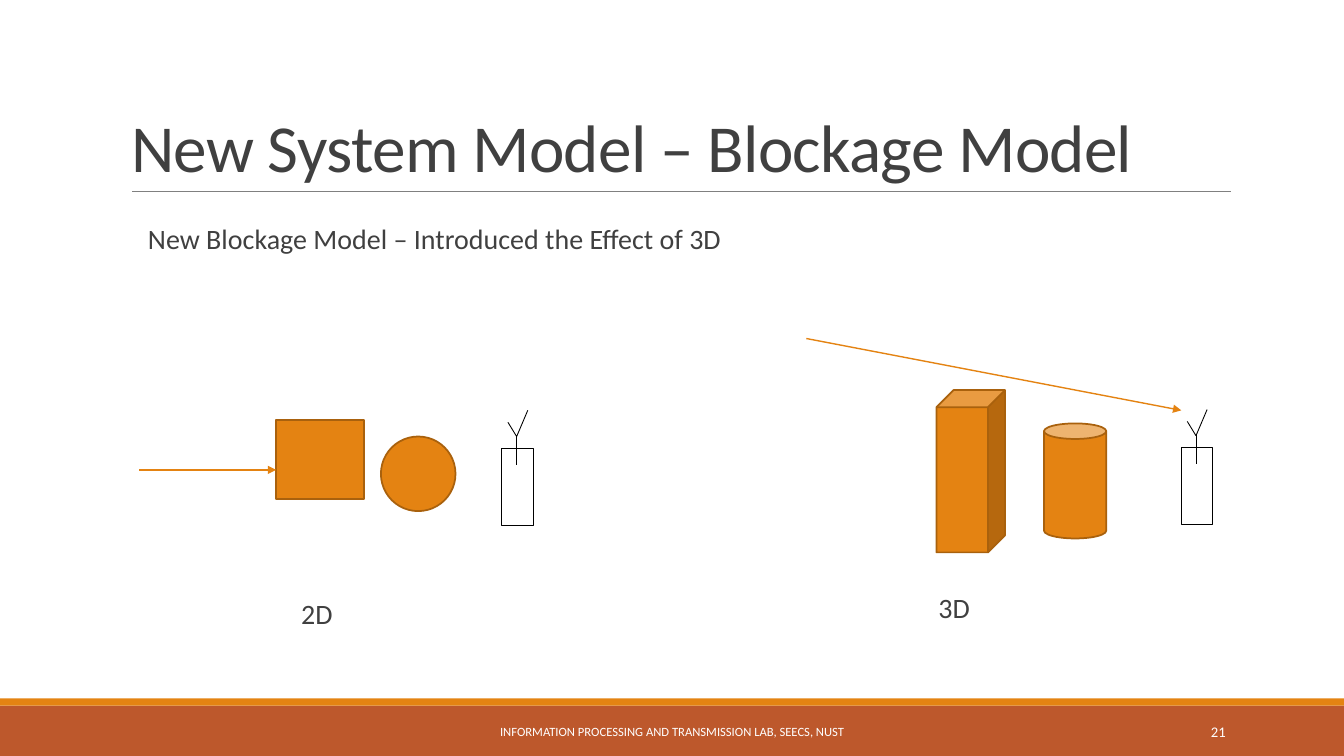
from dataclasses import dataclass

from lxml import etree
from pptx import Presentation
from pptx import util as u
from pptx.dml.color import RGBColor
from pptx.enum import shapes, text
from pptx.oxml import ns

KIND = shapes.MSO_SHAPE
ALIGN = text.PP_ALIGN
ANCHOR = text.MSO_ANCHOR


@dataclass(frozen=True)
class Theme:
    font: str = "Calibri"
    ink: str = "404040"
    white: str = "FFFFFF"
    black: str = "000000"
    rule: str = "808080"
    orange: str = "E48312"
    brown: str = "A9610D"
    rust: str = "BD582C"
    title: float = 48
    body: float = 20
    number: float = 10.5
    footer: float = 9


def rgb(code):
    return RGBColor.from_string(code)


class Deck:
    def __init__(self, theme):
        self.theme = theme
        self.prs = Presentation()
        self.prs.slide_width, self.prs.slide_height = u.Cm(33.87), u.Cm(19.05)
        self.slide = self.prs.slides.add_slide(self.prs.slide_layouts[5])

    def style(self, para, size, color, align=ALIGN.LEFT):
        para.alignment = align
        font = para.font
        font.name, font.size = self.theme.font, u.Pt(size)
        font.color.rgb = rgb(color)

    def title(self, words, left, top, width, height):
        box = self.slide.shapes.title
        box.left, box.top = u.Cm(left), u.Cm(top)
        box.width, box.height = u.Cm(width), u.Cm(height)
        frame = box.text_frame
        frame.text = words
        frame.auto_size = text.MSO_AUTO_SIZE.NONE
        frame.vertical_anchor = ANCHOR.BOTTOM
        para = frame.paragraphs[0]
        para.line_spacing = 0.85
        self.style(para, self.theme.title, self.theme.ink)
        para.runs[0].font._element.set("spc", "-50")

    def label(self, words, left, top, width, height, size, color,
              align=ALIGN.LEFT, anchor=ANCHOR.MIDDLE, spacing=1.0):
        box = self.slide.shapes.add_textbox(*map(u.Cm, (left, top, width, height)))
        frame = box.text_frame
        frame.word_wrap = True
        frame.vertical_anchor = anchor
        frame.text = words
        para = frame.paragraphs[0]
        para.line_spacing = spacing
        self.style(para, size, color, align)
        return frame

    def body(self, words, left, top, width, inset=0.25):
        frame = self.label(words, left, top, width, 1.93, self.theme.body,
                           self.theme.ink, anchor=ANCHOR.TOP, spacing=0.9)
        frame.margin_left, frame.margin_right = u.Cm(inset), 0

    def shape(self, kind, left, top, width, height, fill=None, line=None,
              weight=1.25, group=None):
        host = group or self.slide.shapes
        item = host.add_shape(kind, *map(u.Cm, (left, top, width, height)))
        item.shadow.inherit = False
        if fill:
            item.fill.solid()
            item.fill.fore_color.rgb = rgb(fill)
        else:
            item.fill.background()
        if line:
            item.line.color.rgb = rgb(line)
            item.line.width = u.Pt(weight)
        else:
            item.line.fill.background()

    def line(self, start, end, color, weight, arrow=False, group=None):
        host = group or self.slide.shapes
        item = host.add_connector(shapes.MSO_CONNECTOR.STRAIGHT,
                                  *map(u.Cm, (*start, *end)))
        item.line.color.rgb = rgb(color)
        item.line.width = u.Pt(weight)
        if arrow:
            etree.SubElement(item.line._get_or_add_ln(), ns.qn("a:tailEnd"),
                             type="triangle")
        etree.SubElement(item._element.spPr, ns.qn("a:effectLst"))

    def block(self, kind, left, top, width, height):
        self.shape(kind, left, top, width, height,
                   self.theme.orange, self.theme.brown)

    def ray(self, start, end):
        self.line(start, end, self.theme.orange, 1, arrow=True)

    def mast(self, left, top):
        """Draw a receiver: a case with a forked antenna on it."""
        group = self.slide.shapes.add_group_shape().shapes
        ink = self.theme.black
        self.shape(KIND.RECTANGLE, left, top, 0.79, 1.93, line=ink,
                   weight=0.63, group=group)
        mid = left + 0.37
        fork = (mid, top - 0.3)
        for start, end in (((mid, top - 0.33), (mid, top + 0.41)),
                           (fork, (mid + 0.28, top - 0.96)),
                           (fork, (mid - 0.22, top - 0.66))):
            self.line(start, end, ink, 0.63, group=group)


def main():
    theme = Theme()
    deck = Deck(theme)
    deck.shape(KIND.RECTANGLE, 0, 17.78, 33.87, 1.27, theme.rust)
    deck.shape(KIND.RECTANGLE, 0, 17.6, 33.87, 0.18, theme.orange)
    deck.line((3.33, 4.83), (31.01, 4.83), theme.rule, 0.5)
    deck.title("New System Model – Blockage Model", 3.05, 0.79, 27.94, 4.04)
    deck.body("New Blockage Model – Introduced the Effect of 3D", 3.48, 5.56, 25.76)
    deck.label("INFORMATION PROCESSING AND TRANSMISSION LAB, SEECS, NUST",
               10.24, 17.93, 13.39, 1.02, theme.footer, theme.white, ALIGN.CENTER)
    deck.label("21", 27.51, 17.93, 3.63, 1.02, theme.number, theme.white, ALIGN.RIGHT)

    # Flat scene
    deck.block(KIND.RECTANGLE, 6.96, 10.59, 2.21, 1.98)
    deck.block(KIND.OVAL, 9.6, 11, 1.88, 1.88)
    deck.mast(12.65, 11.3)
    deck.ray((3.51, 11.84), (6.96, 11.84))
    deck.body("2D", 7.34, 15.01, 5.74)

    # Solid scene
    deck.block(KIND.CUBE, 23.6, 9.83, 1.73, 4.09)
    deck.block(KIND.CAN, 26.31, 10.67, 1.57, 2.9)
    deck.mast(29.77, 11.28)
    deck.ray((20.32, 8.53), (29.77, 10.34))
    deck.body("3D", 23.65, 14.86, 5.74, inset=0)

    deck.prs.save("out.pptx")


if __name__ == "__main__":
    main()
